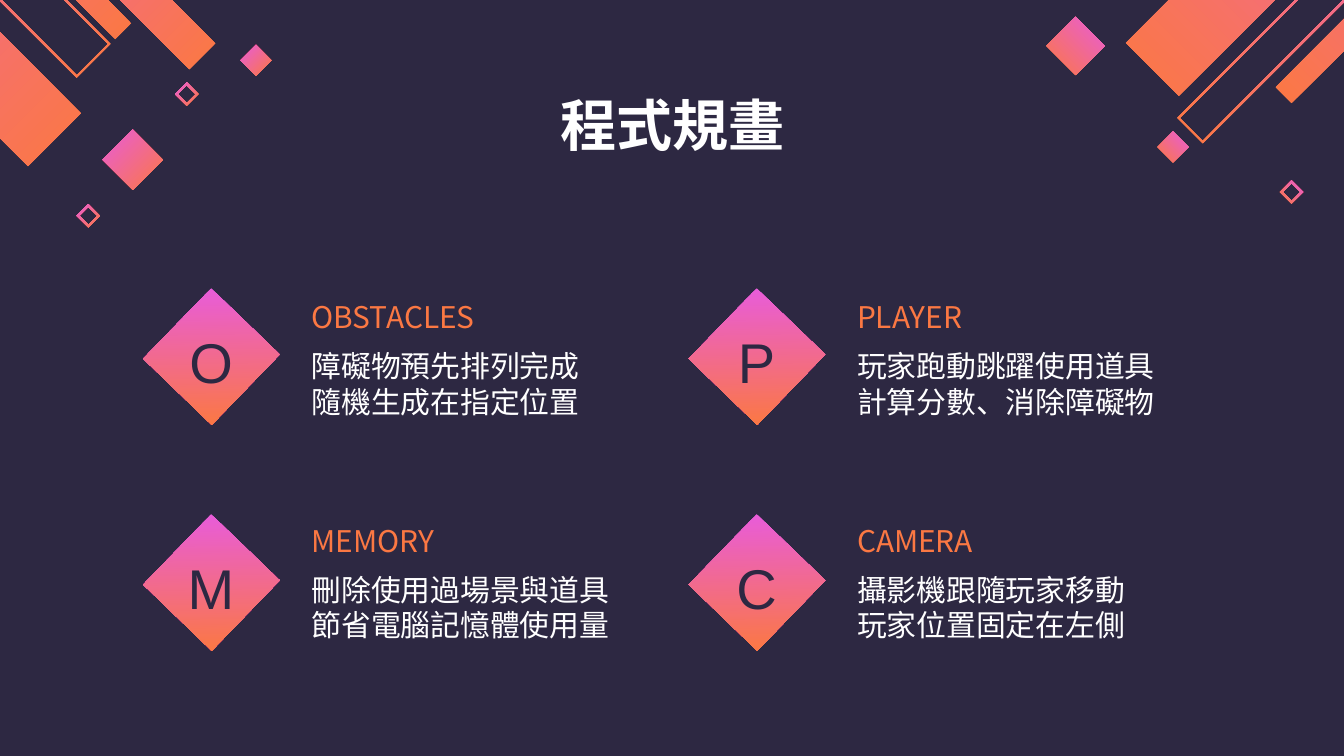
from lxml import etree
from pptx import Presentation
from pptx.dml.color import RGBColor
from pptx.enum import shapes, text
from pptx.oxml.ns import qn
from pptx.util import Cm, Pt

NOTO = "Noto Sans CJK TC"
DARK, ORANGE, PINK, WHITE = "2D2842", "FB7843", "E85CDB", "FFFFFF"
TITLE = "程式規畫"
CARDS = [
    ("O", "OBSTACLES", ["障礙物預先排列完成", "隨機生成在指定位置"]),
    ("P", "PLAYER", ["玩家跑動跳躍使用道具", "計算分數、消除障礙物"]),
    ("M", "MEMORY", ["刪除使用過場景與道具", "節省電腦記憶體使用量"]),
    ("C", "CAMERA", ["攝影機跟隨玩家移動", "玩家位置固定在左側"]),
]
LEFT, RIGHT = -1, 1
RIM = 0.05
BARS = [
    (22.73, 2.71, 0.48, 5.64, RIGHT, True),
    (22.17, 3.07, 0.29, 0.29, RIGHT, False),
    (20.33, 1.42, 0.55, 0.55, RIGHT, False),
    (0.53, 3.14, 1, 6.65, LEFT, False),
    (1.45, 1.47, 0.64, 4.95, LEFT, True),
    (3.58, 1.31, 0.49, 5.27, LEFT, False),
    (2.18, 0.74, 0.3, 5.96, LEFT, False),
    (3.53, 2, 0.22, 0.22, LEFT, True),
    (2.51, 3.59, 0.57, 0.57, LEFT, False),
    (4.84, 1.43, 0.29, 0.29, LEFT, False),
    (22.28, 1.81, 1, 6.65, RIGHT, False),
    (24.41, 3.85, 0.22, 0.22, RIGHT, True),
    (24.41, 1.95, 0.3, 5.96, RIGHT, False),
    (1.67, 4.3, 0.22, 0.22, LEFT, True),
]
STEP = 10.31
HEAD = {"size": Pt(16), "name": NOTO, "color": ORANGE}
BODY = {"size": Pt(16), "name": NOTO, "color": WHITE}
MARK = {"size": Pt(30), "name": "Arial", "color": DARK}
MAIN = {"size": Pt(30), "name": NOTO, "color": WHITE, "bold": True}


def rgb(code):
    return RGBColor.from_string(code)


def paint(shape, first, last, angle):
    shape.shadow.inherit = False
    shape.line.fill.background()
    shape.fill.gradient()
    shape.fill.gradient_angle = angle
    for stop, code in zip(shape.fill.gradient_stops, (first, last)):
        stop.color.rgb = rgb(code)


def corners(x, y, short, long, lean):
    steps = [(0, 0), (-short, -short), (long - short, -short - long), (long, -long)]
    return [(Cm(x + lean * dx), Cm(y + dy)) for dx, dy in steps]


def add_bar(slide, x, y, short, long, lean, hollow):
    outer = corners(x, y, short, long, lean)
    build = slide.shapes.build_freeform(*outer[0])
    build.add_line_segments(outer[1:], close=True)
    if hollow:
        inner = corners(x, y - RIM, short - RIM, long - RIM, lean)
        build.move_to(*inner[0])
        build.add_line_segments(inner[1:], close=True)
    paint(build.convert_to_shape(), ORANGE, PINK, 45 if lean == RIGHT else 135)


def add_text(slide, place, lines, look, align="LEFT", anchor="TOP"):
    frame = slide.shapes.add_textbox(*map(Cm, place)).text_frame
    frame.word_wrap = True
    frame.vertical_anchor = getattr(text.MSO_ANCHOR, anchor)
    for side in ("left", "right", "top", "bottom"):
        setattr(frame, "margin_" + side, Cm(0.25))
    for i, line in enumerate(lines):
        para = frame.add_paragraph() if i else frame.paragraphs[0]
        para.alignment = getattr(text.PP_ALIGN, align)
        run = para.add_run()
        run.text = line
        for key, value in look.items():
            if key == "color":
                run.font.color.rgb = rgb(value)
            else:
                setattr(run.font, key, value)
        face = etree.SubElement(run.font._element, qn("a:ea"))
        face.set("typeface", look["name"])


def add_card(slide, i, mark, head, body):
    row, col = divmod(i, 2)
    x, drop, fall = col * STEP, row * 4.27, row * 4.23
    add_text(slide, (5.64 + x, 6.32 + fall, 6.73, 2.08), body, BODY)
    add_text(slide, (5.64 + x, 5.21 + fall, 6.73, 1.37), [head], HEAD, anchor="BOTTOM")
    place = map(Cm, (3.07 + x, 5.84 + drop, 1.85, 1.8))
    gem = slide.shapes.add_shape(shapes.MSO_SHAPE.RECTANGLE, *place)
    gem.rotation = 134
    paint(gem, PINK, ORANGE, 45)
    add_text(slide, (3.15 + x, 5.95 + drop, 1.68, 1.6), [mark], MARK, "CENTER")


def main():
    deck = Presentation()
    deck.slide_width, deck.slide_height = Cm(25.4), Cm(14.29)
    slide = deck.slides.add_slide(deck.slide_layouts[6])
    slide.background.fill.solid()
    slide.background.fill.fore_color.rgb = rgb(DARK)
    for bar in BARS:
        add_bar(slide, *bar)
    add_text(slide, (1.68, 1.47, 22.07, 1.6), [TITLE], MAIN, "CENTER")
    for i, card in enumerate(CARDS):
        add_card(slide, i, *card)
    deck.save("out.pptx")


if __name__ == "__main__":
    main()
